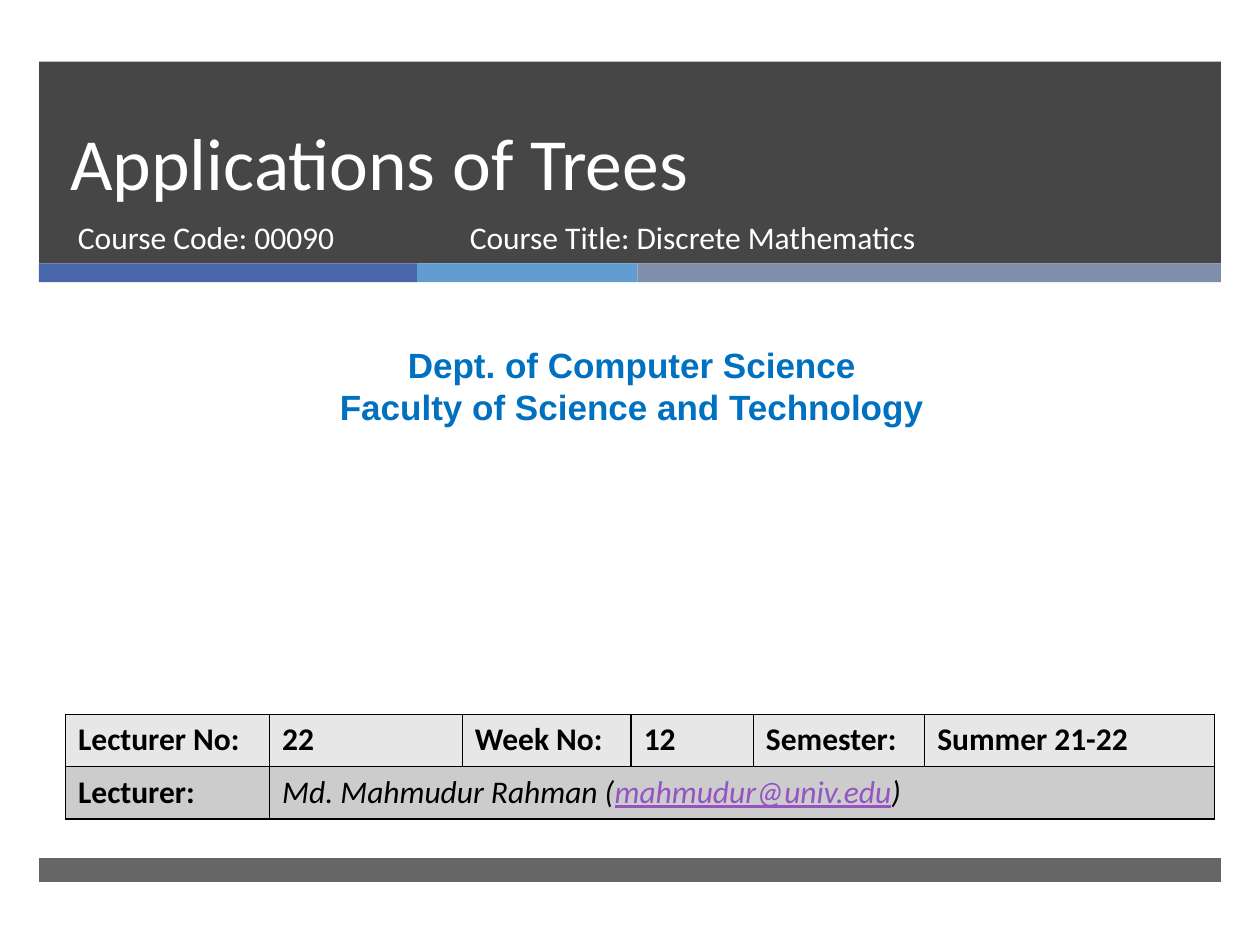
from lxml.etree import SubElement
from pptx import Presentation
from pptx.dml.color import RGBColor
from pptx.enum.shapes import MSO_SHAPE as Shape
from pptx.enum.text import MSO_ANCHOR as Anchor, PP_ALIGN as Align
from pptx.oxml.ns import qn
from pptx.util import Inches, Pt

DARK = RGBColor(0x26, 0x26, 0x26)
INDIGO = RGBColor(0x4A, 0x66, 0xAC)
SKY = RGBColor(0x62, 0x9D, 0xD1)
SLATE = RGBColor(0x7F, 0x8F, 0xA9)
BLUE = RGBColor(0x00, 0x70, 0xC0)
PURPLE = RGBColor(0x94, 0x54, 0xC3)
WHITE = RGBColor(0xFF, 0xFF, 0xFF)
BLACK = RGBColor(0x00, 0x00, 0x00)
LIGHT_GREY = RGBColor(0xE7, 0xE7, 0xE7)
MID_GREY = RGBColor(0xCC, 0xCC, 0xCC)

TITLE = "Applications of Trees"
COURSE_CODE = "Course Code: 00090"
COURSE_TITLE = "Course Title: Discrete Mathematics"
DEPARTMENT = "Dept. of Computer Science\nFaculty of Science and Technology"
LECTURE_ROW = ["Lecturer No:", "22", "Week No:", "12", "Semester:", "Summer 21-22"]
LECTURER_LABEL = "Lecturer:"
LECTURER_RUNS = [
    ("Md. Mahmudur Rahman (", BLACK, False),
    ("mahmudur@univ.edu", PURPLE, True),
    (")", BLACK, False),
]

BAND_LEFT, BAND_WIDTH = 0.31, 9.38
STRIPES = [(3, INDIGO), (1.75, SKY), (4.63, SLATE)]
COLUMN_WIDTHS = [1.62, 1.53, 1.34, 0.97, 1.36, 2.3]
ROW_HEIGHT = 0.415
ROW_FILLS = [LIGHT_GREY, MID_GREY]


def add_band(slide, left, top, width, height, color, opacity=100):
    band = slide.shapes.add_shape(
        Shape.RECTANGLE, Inches(left), Inches(top), Inches(width), Inches(height)
    )
    band.shadow.inherit = False
    band.line.fill.background()
    band.fill.solid()
    band.fill.fore_color.rgb = color
    if opacity < 100:
        color_element = band.fill._xPr.find(qn("a:solidFill"))[0]
        SubElement(color_element, qn("a:alpha"), val=str(opacity * 1000))


def format_run(run, size, color, font="Calibri", bold=False):
    run.font.name = font
    run.font.size = Pt(size)
    run.font.color.rgb = color
    run.font.bold = bold


def add_text(slide, text, left, top, width, height, size, color, **style):
    box = slide.shapes.add_textbox(Inches(left), Inches(top), Inches(width), Inches(height))
    frame = box.text_frame
    frame.word_wrap = True
    frame.text = text
    for paragraph in frame.paragraphs:
        for run in paragraph.runs:
            format_run(run, size, color, **style)
    return frame


def add_borders(cell):
    properties = cell._tc.get_or_add_tcPr()
    for side in ("lnL", "lnR", "lnT", "lnB"):
        line = SubElement(properties, qn(f"a:{side}"), w=str(Pt(1)))
        fill = SubElement(line, qn("a:solidFill"))
        SubElement(fill, qn("a:srgbClr"), val=str(BLACK))


def add_lecture_table(slide):
    table = slide.shapes.add_table(
        2, len(COLUMN_WIDTHS), Inches(0.52), Inches(5.67),
        Inches(sum(COLUMN_WIDTHS)), Inches(2 * ROW_HEIGHT),
    ).table
    table.first_row = table.horz_banding = False
    for column, width in zip(table.columns, COLUMN_WIDTHS):
        column.width = Inches(width)
    for row, color in zip(table.rows, ROW_FILLS):
        row.height = Inches(ROW_HEIGHT)
        for cell in row.cells:
            add_borders(cell)
            cell.fill.solid()
            cell.fill.fore_color.rgb = color

    labels = [(0, column, text) for column, text in enumerate(LECTURE_ROW)]
    for row, column, text in labels + [(1, 0, LECTURER_LABEL)]:
        paragraph = table.cell(row, column).text_frame.paragraphs[0]
        paragraph.text = text
        format_run(paragraph.runs[0], 18, BLACK, bold=True)

    lecturer = table.cell(1, 1)
    lecturer.merge(table.cell(1, len(COLUMN_WIDTHS) - 1))
    for text, color, underline in LECTURER_RUNS:
        run = lecturer.text_frame.paragraphs[0].add_run()
        run.text = text
        format_run(run, 18, color)
        run.font.italic = True
        run.font.underline = underline


def main():
    presentation = Presentation()
    presentation.slide_width, presentation.slide_height = Inches(10), Inches(7.5)
    slide = presentation.slides.add_slide(presentation.slide_layouts[6])

    add_band(slide, BAND_LEFT, 0.49, BAND_WIDTH, 1.6, DARK, 85)
    left = BAND_LEFT
    for width, color in STRIPES:
        add_band(slide, left, 2.09, width, 0.15, color)
        left += width
    add_band(slide, BAND_LEFT, 6.81, BAND_WIDTH, 0.19, DARK, 70)

    title = add_text(slide, TITLE, 0.46, 0.49, 8.54, 1.19, 42, WHITE)
    title.vertical_anchor = Anchor.BOTTOM
    title.paragraphs[0].line_spacing = Pt(46)
    add_text(slide, COURSE_CODE, 0.52, 1.68, 3.05, 0.53, 18, WHITE)
    department = add_text(
        slide, DEPARTMENT, 0.08, 2.68, 9.87, 0.77, 20, BLUE, font="Arial", bold=True
    )
    for paragraph in department.paragraphs:
        paragraph.alignment = Align.CENTER
    add_lecture_table(slide)
    add_text(slide, COURSE_TITLE, 3.63, 1.68, 4.55, 0.53, 18, WHITE)

    presentation.save("out.pptx")


if __name__ == "__main__":
    main()
